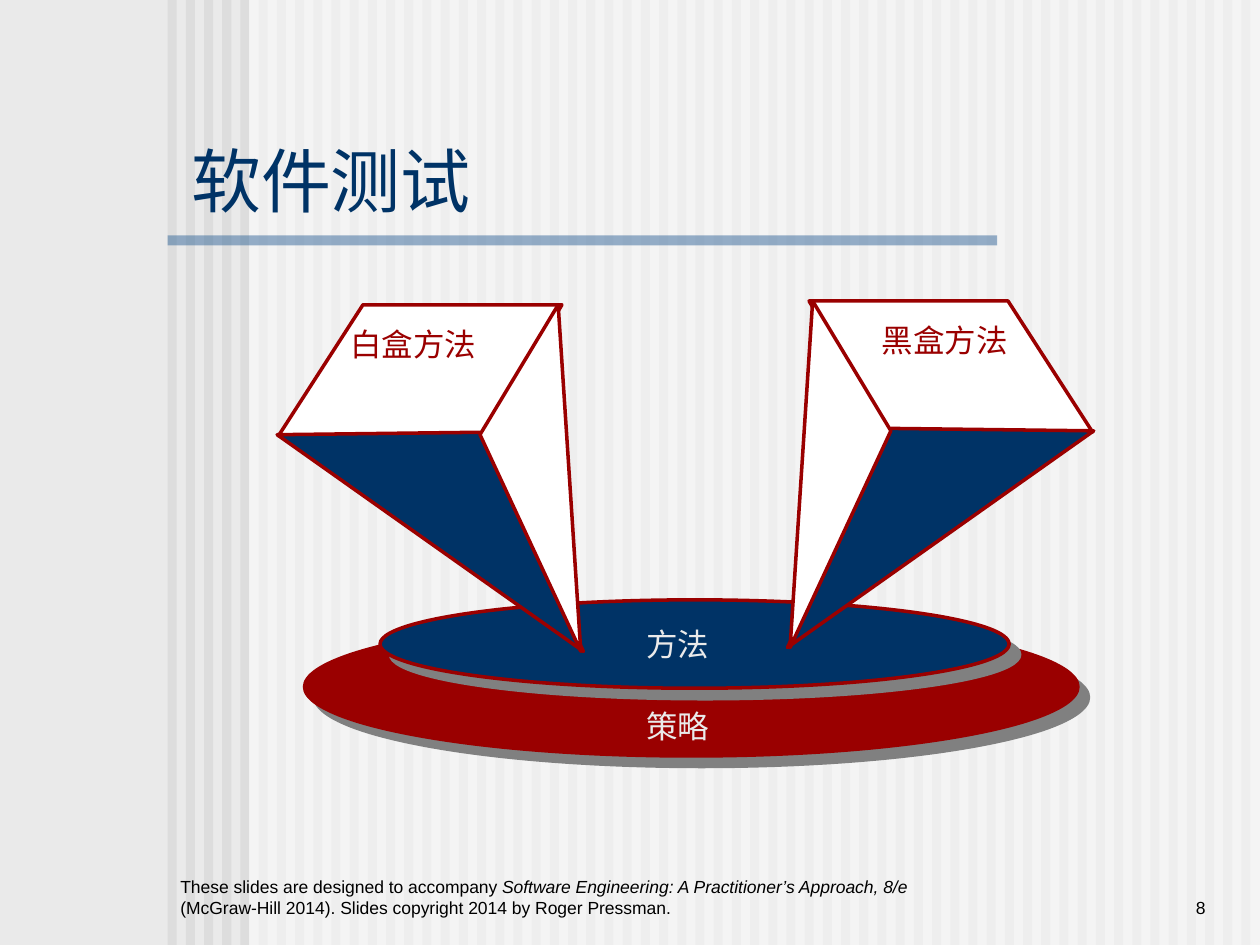
import pptx
import pptx.dml.color
import pptx.enum.shapes
import pptx.enum.text
import pptx.oxml
import pptx.oxml.ns
import pptx.util
from lxml import etree

Pt = pptx.util.Pt
RGBColor = pptx.dml.color.RGBColor
SHAPE = pptx.enum.shapes.MSO_SHAPE
ALIGN = pptx.enum.text.PP_ALIGN
ANCHOR = pptx.enum.text.MSO_ANCHOR
qn = pptx.oxml.ns.qn

PAPER = RGBColor(0xEA, 0xEA, 0xEA)
STRIPE = RGBColor(0xDD, 0xDD, 0xDD)
WHITE = RGBColor(0xFF, 0xFF, 0xFF)
BLACK = RGBColor(0, 0, 0)
STEEL = RGBColor(0x33, 0x66, 0x99)
NAVY = RGBColor(0x00, 0x33, 0x66)
CRIMSON = RGBColor(0x9A, 0x00, 0x00)
SHADE = RGBColor(0x80, 0x80, 0x80)

WIDTH, HEIGHT = 720, 540
STRIPE_LEFT, STRIPE_PITCH, STRIPE_COUNT = 95.8, 10.4, 60
MIRROR_SUM, MIRROR_RISE = 783.4, 2.2
PYRAMID_FACES = (
    (WHITE, ((321.1, 174.2), (207.4, 174.2), (159.1, 249.1), (276.5, 249.1))),
    (NAVY, ((158.4, 248.4), (333.4, 372.2), (274.3, 247))),
    (WHITE, ((331.9, 372.2), (274.3, 248.4), (319, 174.2))),
)


def paint(shape, fill, outline=None):
    """Give a shape a solid fill and an optional outline, without shadow."""
    shape.shadow.inherit = False
    shape.fill.solid()
    shape.fill.fore_color.rgb = fill
    if outline is None:
        shape.line.fill.background()
    else:
        shape.line.color.rgb = outline
        shape.line.width = Pt(2)


def add_figure(slide, kind, box, fill, outline=None):
    """Add a painted preset shape."""
    figure = slide.shapes.add_shape(kind, *map(Pt, box))
    paint(figure, fill, outline)
    return figure


def make_translucent(shape):
    """Set the fill of a shape to half opacity."""
    colour = shape.fill._xPr.find(qn("a:solidFill"))[0]
    etree.SubElement(colour, qn("a:alpha")).set("val", "50000")


def cast_shadow(shape):
    """Give a shape a hard shadow to the lower right."""
    effects = shape._element.spPr.find(qn("a:effectLst"))
    shadow = etree.SubElement(effects, qn("a:outerShdw"), dist=str(Pt(8.5)),
                              dir="2700000", algn="ctr", rotWithShape="0")
    etree.SubElement(shadow, qn("a:srgbClr")).set("val", str(SHADE))


def style_runs(paragraph, size, colour):
    """Format every run of a paragraph."""
    for run in paragraph.runs:
        run.font.name = "Arial"
        run.font.size = Pt(size)
        run.font.color.rgb = colour


def add_text(slide, box, parts, size, colour, align=ALIGN.LEFT, anchor=ANCHOR.TOP):
    """Add a text box of one paragraph whose odd parts are italic."""
    frame = slide.shapes.add_textbox(*map(Pt, box)).text_frame
    frame.word_wrap = True
    frame.vertical_anchor = anchor
    paragraph = frame.paragraphs[0]
    paragraph.alignment = align
    for index, part in enumerate(parts):
        run = paragraph.add_run()
        run.text = part
        run.font.italic = index % 2 == 1
    style_runs(paragraph, size, colour)


def add_background(slide):
    """Draw the striped backdrop and the rule under the title."""
    slide.background.fill.solid()
    slide.background.fill.fore_color.rgb = PAPER
    for index in range(STRIPE_COUNT):
        left = STRIPE_LEFT + index * STRIPE_PITCH
        add_figure(slide, SHAPE.RECTANGLE, (left, 0, STRIPE_PITCH / 2, HEIGHT), STRIPE)
    veil_left = 142.4
    for box, fill in (((veil_left, 0, WIDTH - veil_left, HEIGHT), WHITE),
                      ((STRIPE_LEFT, 134.6, 474, 5.6), STEEL)):
        make_translucent(add_figure(slide, SHAPE.RECTANGLE, box, fill))


def add_title(slide, text):
    """Place the title in front of the backdrop."""
    title = slide.shapes.title
    slide.shapes._spTree.append(title._element)
    title.left, title.top, title.width, title.height = map(Pt, (102, 78, 415.5, 49.5))
    frame = title.text_frame
    frame.text = text
    frame.vertical_anchor = ANCHOR.MIDDLE
    frame.auto_size = pptx.enum.text.MSO_AUTO_SIZE.NONE
    frame.paragraphs[0].alignment = ALIGN.LEFT
    style_runs(frame.paragraphs[0], 40, NAVY)


def add_pyramid(slide, mirrored):
    """Draw an inverted pyramid, mirrored for the right side."""
    for fill, corners in PYRAMID_FACES:
        if mirrored:
            corners = [(MIRROR_SUM - x, y - MIRROR_RISE) for x, y in corners]
        points = [(Pt(x), Pt(y)) for x, y in corners]
        builder = slide.shapes.build_freeform(*points[0])
        builder.add_line_segments(points[1:], close=True)
        paint(builder.convert_to_shape(), fill, CRIMSON)


def main():
    """Build the software testing slide."""
    deck = pptx.Presentation()
    deck.slide_width, deck.slide_height = Pt(WIDTH), Pt(HEIGHT)
    slide = deck.slides.add_slide(deck.slide_layouts[5])
    add_background(slide)
    add_text(slide, (96, 492, 432, 36),
             ("These slides are designed to accompany ",
              "Software Engineering: A Practitioner’s Approach, 8/e ",
              "(McGraw-Hill 2014). Slides copyright 2014 by Roger Pressman."),
             10, BLACK, anchor=ANCHOR.BOTTOM)
    add_text(slide, (594, 492, 102, 36), ("8",), 10, BLACK, ALIGN.RIGHT, ANCHOR.BOTTOM)
    add_title(slide, "软件测试")
    cast_shadow(add_figure(slide, SHAPE.OVAL, (173, 352, 444, 81), CRIMSON))
    cast_shadow(add_figure(slide, SHAPE.OVAL, (217.2, 342.8, 359.5, 50.5), NAVY, CRIMSON))
    for mirrored in (False, True):
        add_pyramid(slide, mirrored)
    add_text(slide, (362.2, 353.5, 60, 29), ("方法",), 18, PAPER)
    add_text(slide, (362.2, 400.5, 60, 29), ("策略",), 18, PAPER)
    add_text(slide, (193, 182.2, 108, 29), ("白盒方法",), 18, CRIMSON)
    add_text(slide, (486, 180, 108, 29), ("黑盒方法",), 18, CRIMSON, ALIGN.CENTER)
    deck.save("out.pptx")


if __name__ == "__main__":
    main()
